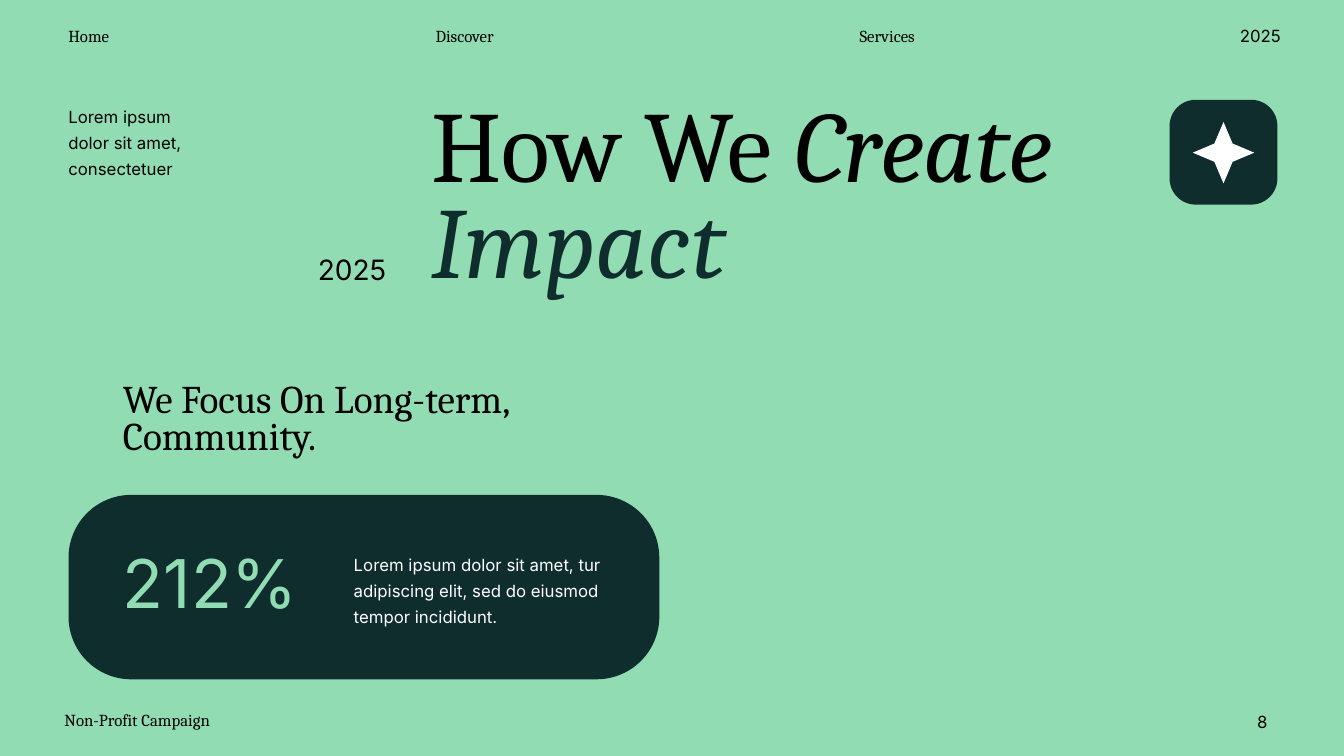
from collections import namedtuple

from pptx import Presentation
from pptx.dml.color import RGBColor
from pptx.enum.shapes import MSO_SHAPE
from pptx.enum.text import MSO_AUTO_SIZE, PP_ALIGN
from pptx.util import Pt

PX = 9144
LEFT, CENTER, RIGHT = PP_ALIGN.LEFT, PP_ALIGN.CENTER, PP_ALIGN.RIGHT
ROUNDED, STAR = MSO_SHAPE.ROUNDED_RECTANGLE, MSO_SHAPE.STAR_4_POINT
GROW = MSO_AUTO_SIZE.SHAPE_TO_FIT_TEXT
SERIF, SANS = "Cambria", "Inter"
COLORS = {"mint": "91DCB3", "pine": "0F2D2D", "black": "000000", "white": "FFFFFF"}

Box = namedtuple("Box", "left top width height")


def color(name):
    """Return the named palette colour."""
    return RGBColor.from_string(COLORS[name])


def inside(box, left, top, width, height):
    """Return a box offset from the corner of another box."""
    return Box(box.left + left, box.top + top, width, height)


def emu(box):
    """Return the sides of a box in EMU."""
    return [side * PX for side in box]


def add_text(slide, box, runs, size=12, face=SANS, ink="black",
             align=LEFT, spacing=None, wrap=True):
    """Add one paragraph; each run is its text and its own font values."""
    if isinstance(runs, str):
        runs = [(runs, {})]
    frame = slide.shapes.add_textbox(*emu(box)).text_frame
    frame.word_wrap = wrap
    frame.auto_size = GROW
    paragraph = frame.paragraphs[0]
    for key, value in {"alignment": align, "line_spacing": spacing}.items():
        setattr(paragraph, key, value)
    for words, changes in runs:
        run = paragraph.add_run()
        run.text = words
        values = {"size": Pt(size), "name": face, "italic": changes.get("italic")}
        for key, value in values.items():
            setattr(run.font, key, value)
        run.font.color.rgb = color(changes.get("ink", ink))


def add_panel(slide, box, kind, fill, adjustment):
    """Add a plain filled shape without outline or shadow."""
    panel = slide.shapes.add_shape(kind, *emu(box))
    panel.adjustments[0] = adjustment
    panel.shadow.inherit = False
    panel.fill.solid()
    panel.fill.fore_color.rgb = color(fill)
    panel.line.fill.background()


def add_navigation(slide, box):
    """Place the menu entries along the top."""
    entries = [("Home", 0, 68, SERIF), ("Discover", 362, 90, SERIF),
               ("Services", 783, 86, SERIF), ("2025", 1165, 62, SANS)]
    for label, left, width, face in entries:
        add_text(slide, inside(box, left, 0, width, box.height), label,
                 face=face, align=CENTER, wrap=False)


def add_heading(slide, box):
    """Place the intro, year, title and star badge."""
    add_text(slide, inside(box, 0, 0, 133, 86),
             "Lorem ipsum dolor sit amet, consectetuer", spacing=1.3)
    add_text(slide, inside(box, 237, 151, 98, 44), "2025", size=20, align=RIGHT)
    title = [("How We ", {}), ("Create ", {"italic": True}),
             ("Impact", {"italic": True, "ink": "pine"})]
    add_text(slide, inside(box, 360, 4, 666, 204), title,
             size=72, face=SERIF, spacing=0.8)
    badge = inside(box, 1102, 4, 107, 104)
    add_panel(slide, badge, ROUNDED, "pine", 0.25)
    add_panel(slide, inside(badge, 23, 22, 61, 61), STAR, "white", 0.21)


def add_impact(slide, box):
    """Place the focus line above the card with the key figure."""
    add_text(slide, inside(box, 44, 0, 474, 85), "We Focus On Long-term, Community.",
             size=28, face=SERIF, spacing=0.8)
    card = inside(box, 0, 116, box.width, 183)
    add_panel(slide, card, ROUNDED, "pine", 0.34)
    add_text(slide, inside(card, 44, 41, 197, 91), "212%", size=48, ink="mint")
    add_text(slide, inside(card, 273, 48, 265, 86),
             "Lorem ipsum dolor sit amet, tur adipiscing elit, "
             "sed do eiusmod tempor incididunt.", ink="white", spacing=1.3)


def add_footer(slide, box):
    """Place the campaign name and the page number."""
    add_text(slide, inside(box, 0, 0, 289, 30), "Non-Profit Campaign", face=SERIF)
    add_text(slide, inside(box, box.width - 68, 2, 68, 30), "8", align=RIGHT)


def main():
    """Build the slide and save it."""
    deck = Presentation()
    deck.slide_width, deck.slide_height = 1333 * PX, 750 * PX
    slide = deck.slides.add_slide(deck.slide_layouts[6])
    slide.background.fill.solid()
    slide.background.fill.fore_color.rgb = color("mint")
    add_navigation(slide, Box(54, 21, 1227, 30))
    add_heading(slide, Box(58, 95, 1209, 208))
    add_impact(slide, Box(68, 375, 586, 299))
    add_footer(slide, Box(54, 699, 1213, 32))
    deck.save("out.pptx")


if __name__ == "__main__":
    main()
